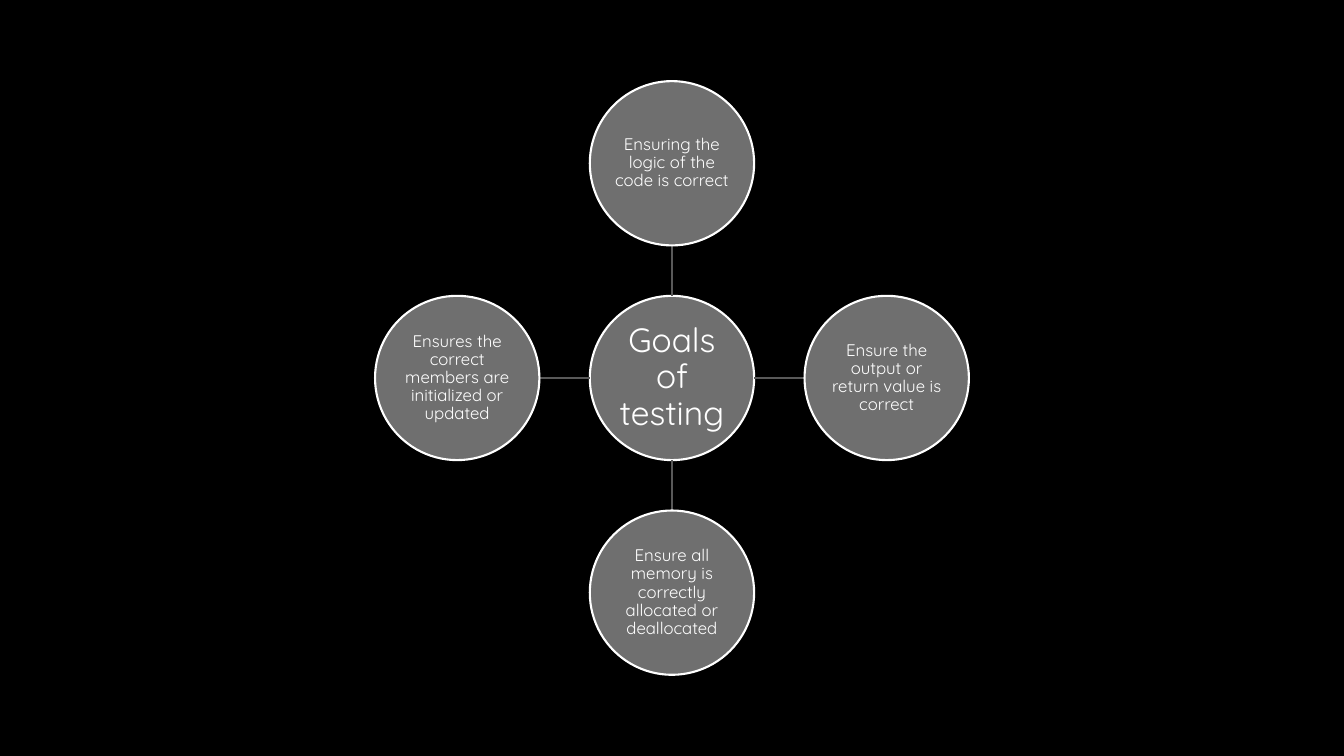
from lxml import etree
from pptx import Presentation, util as u
from pptx.dml.color import RGBColor
from pptx.enum import shapes, text
from pptx.oxml.ns import qn

WIDTH, HEIGHT = 13.33, 7.5
DIAMETER = 1.63
PITCH = 2.13
FONT = "Quicksand"
CENTRE_GOAL = "Goals of testing"
GOALS = [
    (0, -1, "Ensuring the logic of the code is correct"),
    (1, 0, "Ensure the output or return value is correct"),
    (0, 1, "Ensure all memory is correctly allocated or deallocated"),
    (-1, 0, "Ensures the correct members are initialized or updated"),
]


def paint(target, color):
    """Give a fill, line or font colour format a solid hex colour."""
    target.rgb = RGBColor.from_string(color)


def add_goal(slide, x, y, wording, size, inset):
    """Draw one labelled circle centred on x, y."""
    goal = slide.shapes.add_shape(
        shapes.MSO_SHAPE.OVAL, u.Inches(x - DIAMETER / 2),
        u.Inches(y - DIAMETER / 2), u.Inches(DIAMETER), u.Inches(DIAMETER))
    goal.shadow.inherit = False
    goal.fill.solid()
    paint(goal.fill.fore_color, "6F6F6F")
    paint(goal.line.color, "FFFFFF")
    goal.line.width = u.Pt(1.5)
    frame = goal.text_frame
    frame.word_wrap = True
    frame.vertical_anchor = text.MSO_ANCHOR.MIDDLE
    frame.margin_left = frame.margin_right = u.Inches(inset)
    frame.margin_top = frame.margin_bottom = u.Inches(inset)
    frame.text = wording
    label = frame.paragraphs[0]
    label.alignment = text.PP_ALIGN.CENTER
    label.line_spacing = 0.9
    font = label.runs[0].font
    font.name, font.size = FONT, u.Pt(size)
    paint(font.color, "FFFFFF")


def add_spoke(slide, x, y, column, row):
    """Draw the line from the circle at x, y to its neighbour's edge."""
    near, far = DIAMETER / 2, PITCH - DIAMETER / 2
    spoke = slide.shapes.add_connector(
        shapes.MSO_CONNECTOR.STRAIGHT,
        u.Inches(x + column * near), u.Inches(y + row * near),
        u.Inches(x + column * far), u.Inches(y + row * far))
    paint(spoke.line.color, "595959")
    spoke.line.width = u.Pt(1.5)
    etree.SubElement(spoke.element.spPr, qn("a:effectLst"))


def add_radial_goals(slide, left, top, width, height):
    """Place the central goal and its four satellites in the given box."""
    x, y = left + width / 2, top + height / 2
    add_goal(slide, x, y, CENTRE_GOAL, 24, 0.02)
    for column, row, wording in GOALS:
        add_spoke(slide, x, y, column, row)
        add_goal(slide, x + column * PITCH, y + row * PITCH, wording, 12, 0.01)


def main():
    """Build and save the slide."""
    deck = Presentation()
    deck.slide_width, deck.slide_height = u.Inches(WIDTH), u.Inches(HEIGHT)
    slide = deck.slides.add_slide(deck.slide_layouts[6])
    slide.background.fill.solid()
    paint(slide.background.fill.fore_color, "000000")
    add_radial_goals(slide, 0, 0, WIDTH, HEIGHT)
    deck.save("out.pptx")


if __name__ == "__main__":
    main()
